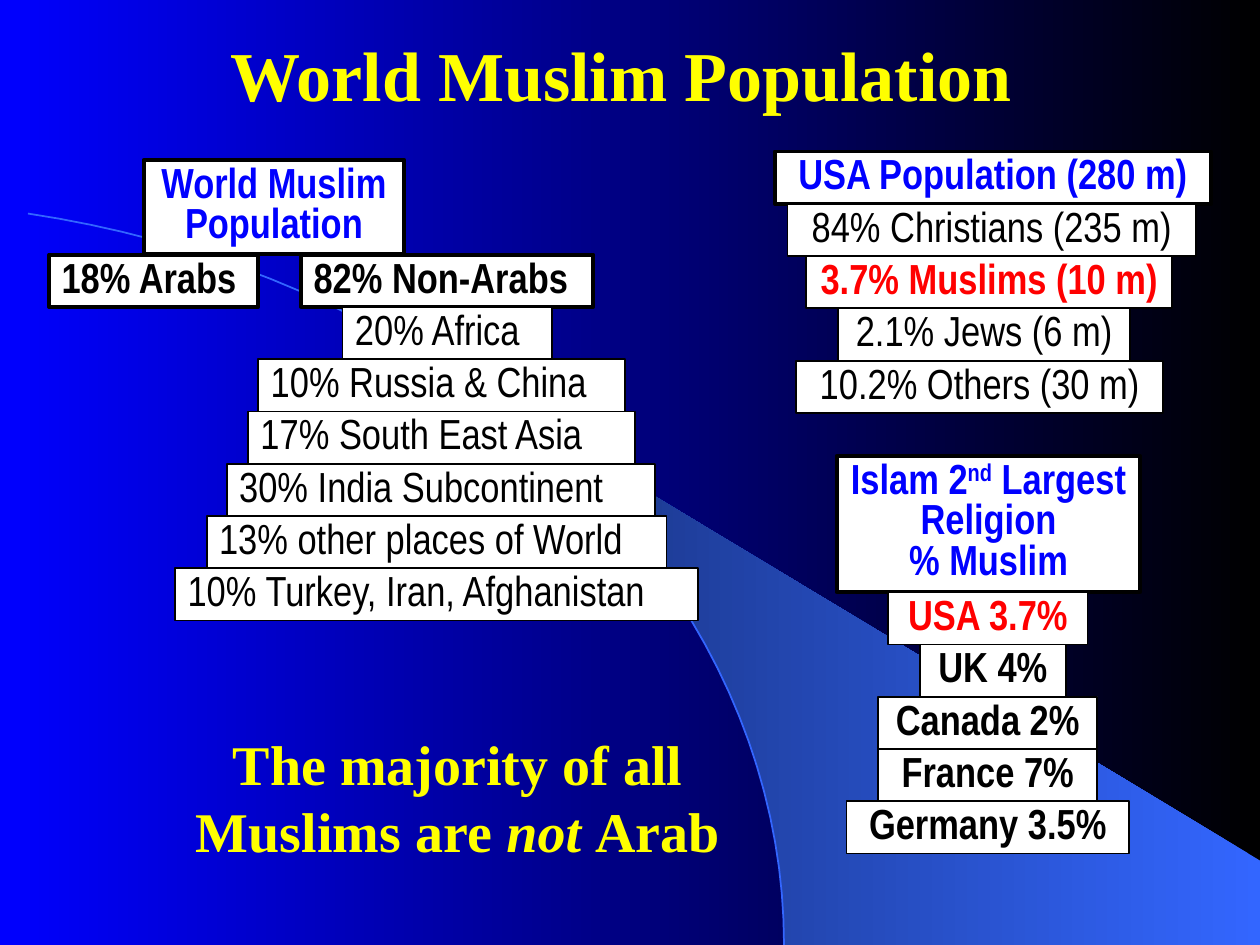
import math

from pptx import Presentation
from pptx.dml.color import RGBColor
from pptx.enum import shapes, text
from pptx.util import Pt

COLORS = {
    "black": "000000",
    "white": "FFFFFF",
    "blue": "0000FF",
    "red": "FF0000",
    "yellow": "FFFF00",
    "beam": "3366FF",
    "beam_dark": "172F75",
}
SERIF, NARROW = "Times New Roman", "Arial Narrow"
LEFT, CENTER = text.PP_ALIGN.LEFT, text.PP_ALIGN.CENTER
WIDTH, HEIGHT = 720, 540
ROW = 29.88


def rgb(name):
    return RGBColor.from_string(COLORS[name])


def ellipse_points(start, steps=40):
    cx, cy, rx, ry = -81.4, HEIGHT, 529.4, 425.2
    angles = [math.radians(start * (1 - i / steps)) for i in range(steps + 1)]
    return [(cx + rx * math.cos(a), cy - ry * math.sin(a)) for a in angles]


class Deck:
    def __init__(self):
        self.prs = Presentation()
        self.prs.slide_width, self.prs.slide_height = Pt(WIDTH), Pt(HEIGHT)
        self.slide = self.prs.slides.add_slide(self.prs.slide_layouts[6])

    def gradient(self, fill, first, last):
        fill.gradient()
        fill.gradient_angle = 180
        for stop, name in zip(fill.gradient_stops, (first, last)):
            stop.color.rgb = rgb(name)

    def outline(self, points, close):
        pts = [(Pt(x), Pt(y)) for x, y in points]
        fb = self.slide.shapes.build_freeform(*pts[0])
        fb.add_line_segments(pts[1:], close=close)
        sp = fb.convert_to_shape()
        sp.shadow.inherit = False
        return sp

    def beam(self, points):
        sp = self.outline(points, True)
        self.gradient(sp.fill, "beam", "beam_dark")
        sp.line.fill.background()

    def arc(self, points):
        sp = self.outline(points, False)
        sp.fill.background()
        sp.line.color.rgb = rgb("beam")
        sp.line.width = Pt(1)

    def add_text(self, tf, paragraphs, font, size, color, bold, align, spacing=None, before=None):
        tf.word_wrap = True
        for i, runs in enumerate(paragraphs):
            p = tf.paragraphs[0] if i == 0 else tf.add_paragraph()
            p.alignment = align
            p.line_spacing = spacing
            p.space_before = before
            for words, style in runs:
                r = p.add_run()
                r.text = words
                r.font.name, r.font.size, r.font.bold = font, Pt(size), bold
                r.font.color.rgb = rgb(color)
                if style == "italic":
                    r.font.italic = True
                elif style == "super":
                    r.font._element.set("baseline", "30000")

    def caption(self, x, y, w, h, runs, size, anchor, before=None):
        tf = self.slide.shapes.add_textbox(Pt(x), Pt(y), Pt(w), Pt(h)).text_frame
        tf.vertical_anchor = anchor
        self.add_text(tf, [runs], SERIF, size, "yellow", True, CENTER, before=before)

    def box(self, x, y, w, h, paragraphs, color="black", bold=False, align=CENTER, line=1):
        sp = self.slide.shapes.add_shape(
            shapes.MSO_SHAPE.RECTANGLE, Pt(x), Pt(y), Pt(w), Pt(h))
        sp.shadow.inherit = False
        sp.fill.solid()
        sp.fill.fore_color.rgb = rgb("white")
        sp.line.color.rgb = rgb("black")
        sp.line.width = Pt(line)
        sp.text_frame.vertical_anchor = text.MSO_ANCHOR.TOP
        self.add_text(sp.text_frame, paragraphs, NARROW, 24, color, bold, align, 0.8)

    def stack(self, top, rows, bold=False, align=CENTER):
        for i, (x, w, words, color) in enumerate(rows):
            self.box(x, top + i * ROW, w, ROW, [[(words, None)]], color,
                     bold or color == "red", align)


def main():
    deck = Deck()
    deck.gradient(deck.slide.background.fill, "black", "blue")
    deck.beam(ellipse_points(50.2) + [(WIDTH, HEIGHT), (WIDTH, 491.8)])
    deck.arc(ellipse_points(79.4))

    deck.caption(49, 19.4, 612, 50.4, [("World Muslim Population", None)], 40,
                 text.MSO_ANCHOR.BOTTOM)

    deck.box(82.1, 91.4, 149, 54, [[("World Muslim", None)], [("Population", None)]],
             "blue", True, line=2.25)
    for x, w, words in [(28.1, 119.5, "18% Arabs"), (172.1, 167, "82% Non-Arabs")]:
        deck.box(x, 145.5, w, ROW, [[(words, None)]], bold=True, align=LEFT, line=2.25)
    deck.stack(145.5 + ROW, [
        (195.8, 119.5, "20% Africa", "black"),
        (147.6, 209.5, "10% Russia & China", "black"),
        (141.8, 221, "17% South East Asia", "black"),
        (129.6, 244.8, "30% India Subcontinent", "black"),
        (118.1, 262.8, "13% other places of World", "black"),
        (100.1, 298.8, "10% Turkey, Iran, Afghanistan", "black"),
    ], align=LEFT)

    deck.box(478.1, 260.6, 173.5, 77.8, [
        [("Islam 2", None), ("nd", "super"), (" Largest Religion", None)],
        [("% Muslim", None)],
    ], "blue", True, line=2.25)
    deck.stack(338.4, [
        (507.6, 113.8, "USA 3.7%", "red"),
        (525.6, 83.5, "UK 4%", "black"),
        (501.8, 125.3, "Canada 2%", "black"),
        (501.8, 125.3, "France 7%", "black"),
        (483.8, 161.3, "Germany 3.5%", "black"),
    ], bold=True)

    deck.box(442.8, 86.6, 249.1, ROW, [[("USA Population (280 m)", None)]],
             "blue", True, line=2.25)
    deck.stack(86.6 + ROW, [
        (450, 233.3, "84% Christians (235 m)", "black"),
        (460.8, 208.8, "3.7% Muslims (10 m)", "red"),
        (478.8, 167, "2.1% Jews (6 m)", "black"),
        (455, 209.5, "10.2% Others (30 m)", "black"),
    ])

    deck.caption(69.8, 413.3, 383.8, 84.2, [
        ("The majority of all Muslims are ", None), ("not ", "italic"), ("Arab", None),
    ], 32, text.MSO_ANCHOR.TOP, before=Pt(20))
    deck.prs.save("out.pptx")


if __name__ == "__main__":
    main()
